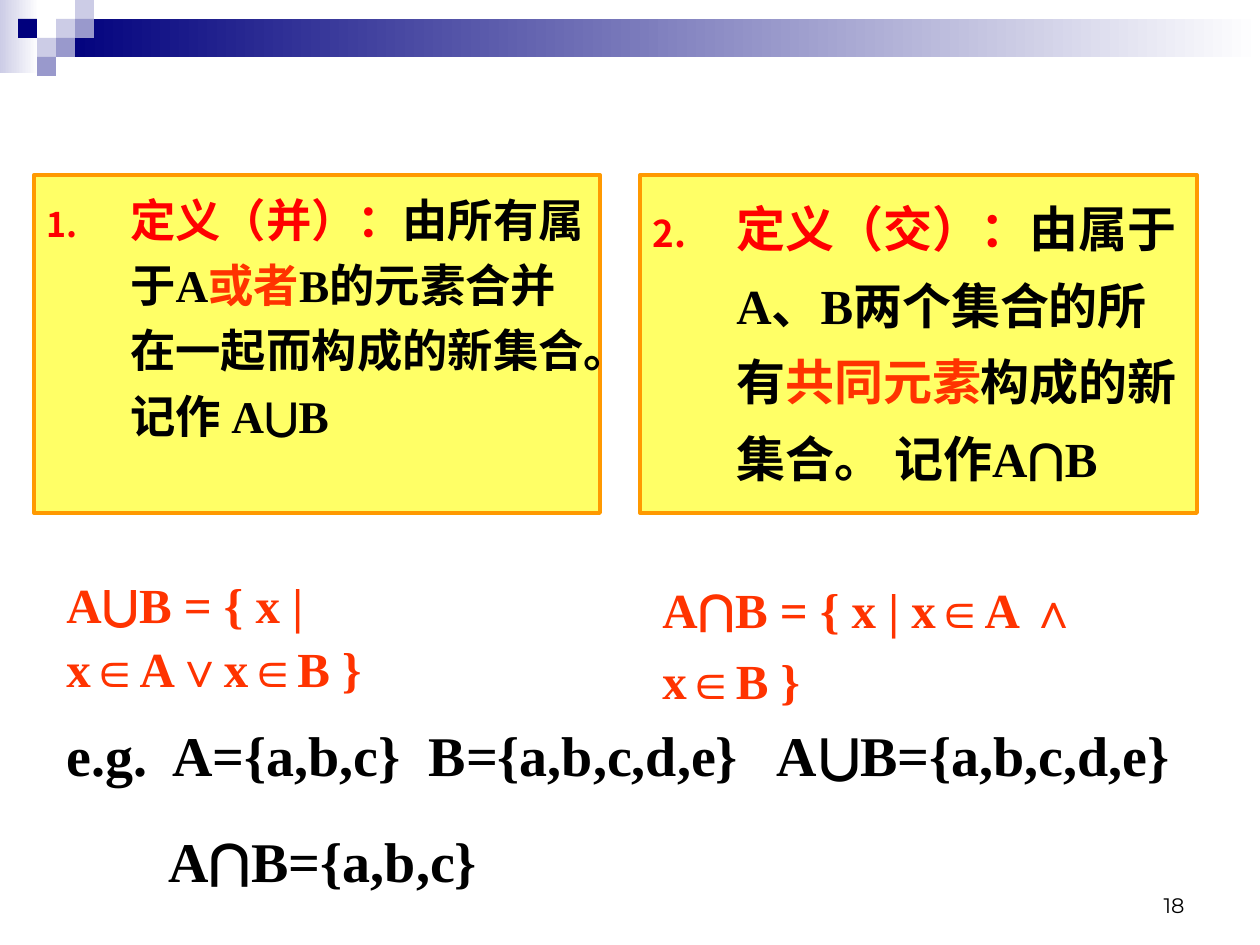
from dataclasses import dataclass
from itertools import groupby

from lxml.etree import SubElement
from pptx import Presentation
from pptx.dml.color import RGBColor
from pptx.enum.shapes import MSO_SHAPE as Shape
from pptx.enum.text import MSO_ANCHOR as Anchor, PP_ALIGN as Align
from pptx.oxml.ns import qn
from pptx.util import Emu, Pt


@dataclass(frozen=True)
class Theme:
    serif: str = "Times New Roman"
    symbol: str = "Arial"
    number: str = "Montserrat"
    navy: str = "00007D"
    lilac: str = "9999CC"
    pale: str = "CCCCE6"
    white: str = "FFFFFF"
    yellow: str = "FFFF66"
    orange: str = "FF9900"
    red: str = "FF0000"
    accent: str = "FF3300"
    black: str = "000000"
    union_size: float = 25.9
    body_size: float = 28
    example_size: float = 32
    number_size: float = 12


THEME = Theme()


def px(value):
    return Emu(round(value * 914400 / 126))


def color(value):
    return RGBColor.from_string(value)


def add_span(para, text, size, font=THEME.serif, fill=THEME.black, bold=True):
    span = para.add_run()
    span.text = text
    span.font.size = Pt(size)
    span.font.name = font
    span.font.bold = bold
    span.font.color.rgb = color(fill)


def add_rect(page, place, fill):
    box = page.shapes.add_shape(Shape.RECTANGLE, *map(px, place))
    box.shadow.inherit = False
    box.line.fill.background()
    if isinstance(fill, tuple):
        box.fill.gradient()
        box.fill.gradient_angle = 180
        for stop, value in zip(box.fill.gradient_stops, fill):
            stop.color.rgb = color(value)
            stop.position = fill.index(value)
    else:
        box.fill.solid()
        box.fill.fore_color.rgb = color(fill)
    return box


def add_header(page):
    add_rect(page, (0, 0, 39, 73), (THEME.white, THEME.pale))
    add_rect(page, (57, 19, 1203, 38), (THEME.white, THEME.navy))
    tile = 19
    tiles = [
        (3, 1, THEME.pale), (4, 0, THEME.pale), (4, 1, THEME.lilac),
        (2, 2, THEME.pale), (1, 1, THEME.navy), (3, 2, THEME.lilac),
        (2, 3, THEME.lilac),
    ]
    for column, row, fill in tiles:
        add_rect(page, (column * tile - 1, row * tile, tile, tile), fill)


def number_para(para, start):
    props = para._p.get_or_add_pPr()
    props.set("marL", str(px(84)))
    props.set("indent", str(px(-84)))
    bullet_color = SubElement(props, qn("a:buClr"))
    SubElement(bullet_color, qn("a:srgbClr"), val=THEME.red)
    SubElement(props, qn("a:buSzPct"), val="75000")
    SubElement(props, qn("a:buAutoNum"), type="arabicPeriod", startAt=str(start))


def add_definition(page, place, number, parts, size, spacing):
    box = add_rect(page, place, THEME.yellow)
    box.line.color.rgb = color(THEME.orange)
    box.line.width = Pt(2.25)
    frame = box.text_frame
    frame.word_wrap = True
    frame.vertical_anchor = Anchor.TOP
    para = frame.paragraphs[0]
    number_para(para, number)
    para.alignment = Align.LEFT
    para.line_spacing = spacing
    for text, fill in parts:
        add_span(para, text, size, fill=fill)


def add_para(page, place, spacing=1.0, wrap=True, anchor=Anchor.TOP, align=Align.LEFT):
    box = page.shapes.add_textbox(*map(px, place))
    frame = box.text_frame
    frame.word_wrap = wrap
    frame.vertical_anchor = anchor
    para = frame.paragraphs[0]
    para.alignment = align
    para.line_spacing = spacing
    return para


def add_formula(page, place, text, spacing):
    para = add_para(page, place, spacing)
    for is_symbol, letters in groupby(text, lambda letter: letter in "∈∨∧"):
        font = THEME.symbol if is_symbol else THEME.serif
        add_span(para, "".join(letters), THEME.body_size, font=font, fill=THEME.accent)


def main():
    deck = Presentation()
    deck.slide_width, deck.slide_height = px(1260), px(945)
    page = deck.slides.add_slide(deck.slide_layouts[6])
    add_header(page)

    union = [
        ("定义（并）：", THEME.red),
        ("由所有属于A", THEME.black),
        ("或者", THEME.accent),
        ("B的元素合并在一起而构成的新集合。记作 A⋃B", THEME.black),
    ]
    intersection = [
        ("定义（交）：", THEME.red),
        ("由属于A、B两个集合的所有", THEME.black),
        ("共同元素", THEME.accent),
        ("构成的新集合。 记作A⋂B", THEME.black),
    ]
    add_definition(page, (34, 175, 566, 338), 1, union, THEME.union_size, 1.2)
    add_formula(page, (54, 562, 556, 78), "A⋃B = { x | x∈A∨x∈B }", 1.1)
    example = add_para(page, (54, 701, 1142, 93), 1.2)
    add_span(example, "e.g.  A={a,b,c}  B={a,b,c,d,e}   A⋃B={a,b,c,d,e}", THEME.example_size)
    add_definition(page, (640, 175, 557, 338), 2, intersection, THEME.body_size, 1.3)
    add_formula(page, (650, 562, 533, 83), "A⋂B = { x | x∈A ∧ x∈B }", 1.2)
    result = add_para(page, (156, 820, 334, 81), wrap=False)
    add_span(result, "A⋂B={a,b,c}", THEME.example_size)
    number = add_para(page, (903, 861, 294, 63), anchor=Anchor.BOTTOM, align=Align.RIGHT)
    add_span(number, "18", THEME.number_size, font=THEME.number, bold=False)

    deck.save("out.pptx")


if __name__ == "__main__":
    main()
